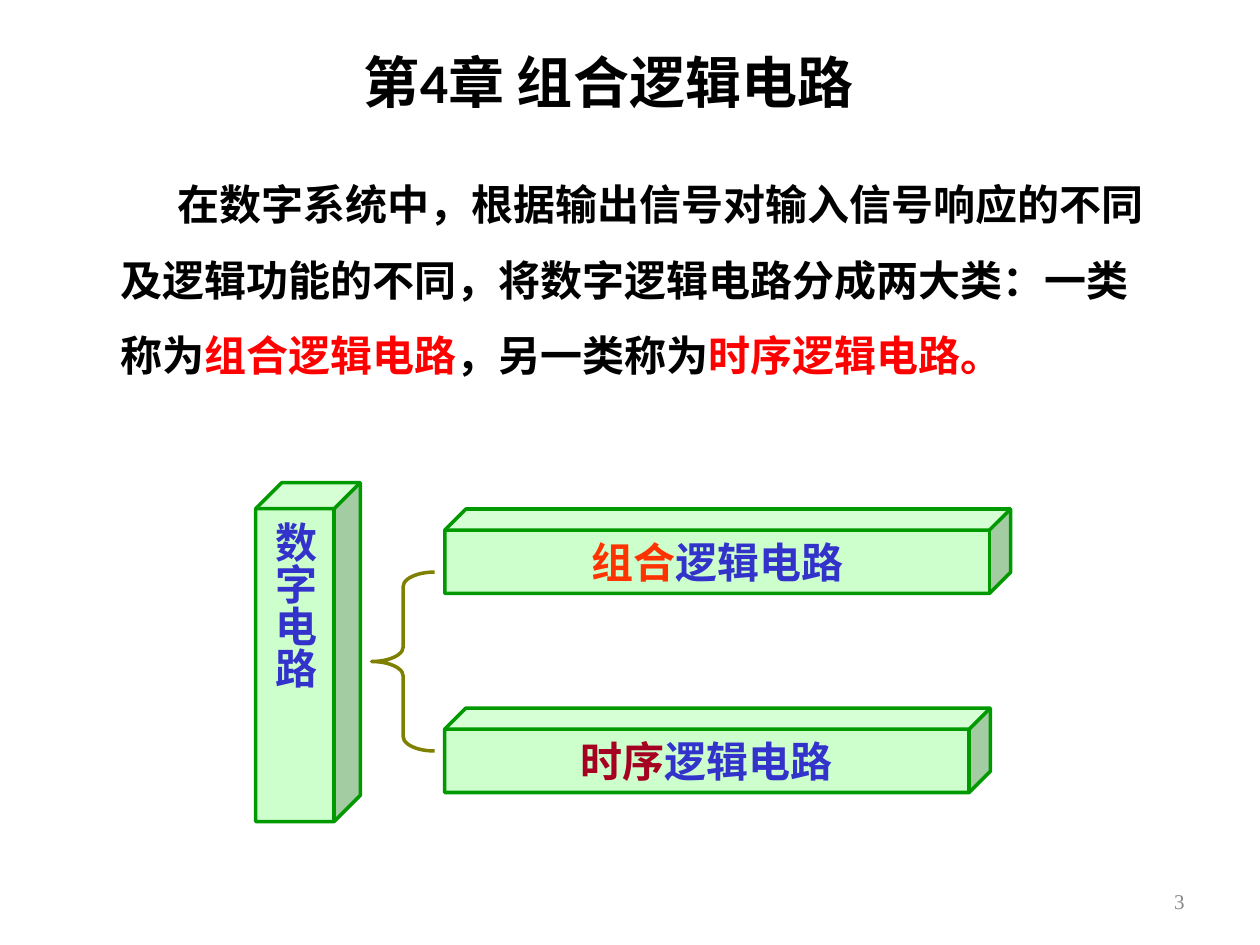
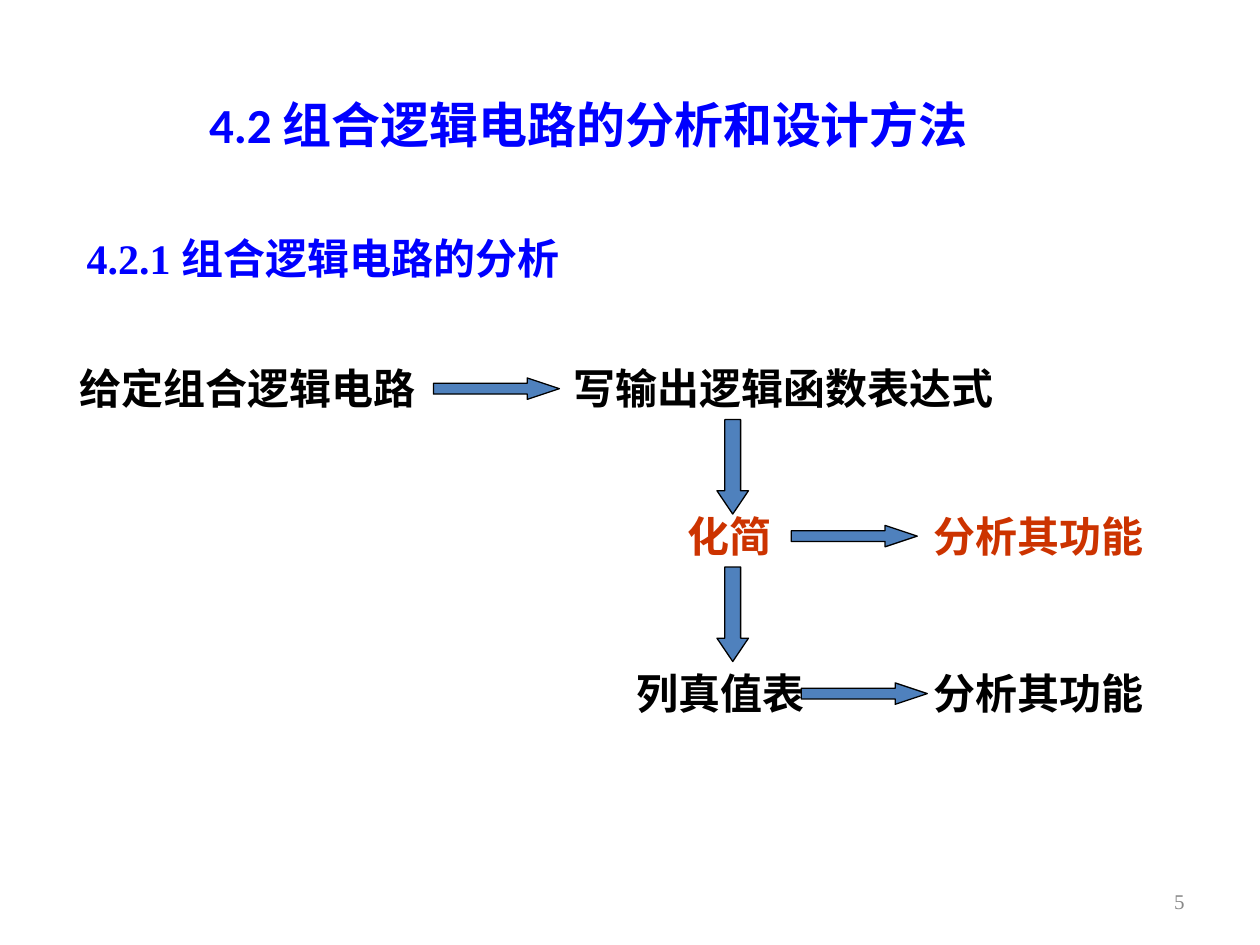
"""Build two slides on combinational logic circuits."""
from dataclasses import dataclass
from typing import Any

from pptx import Presentation
from pptx.dml.color import RGBColor as Rgb
from pptx.enum.shapes import MSO_SHAPE as Kind
from pptx.enum.text import MSO_ANCHOR as Anchor, PP_ALIGN as Align
from pptx.util import Inches, Pt


@dataclass(frozen=True)
class Theme:
    black: str = "000000"
    blue: str = "0000FF"
    red: str = "FF0000"
    rust: str = "CC3300"
    orange: str = "FF3300"
    wine: str = "A50021"
    indigo: str = "3333CC"
    gray: str = "898989"
    mint: str = "CCFFCC"
    green: str = "009900"
    olive: str = "808000"
    steel: str = "4F81BD"
    head: str = "Calibri"
    serif: str = "Times New Roman"
    sans: str = "DejaVu Sans"
    label: str = "Roboto"
    title: int = 32
    section: int = 28
    body: int = 24
    foot: int = 12


T = Theme()
Runs = list[tuple[str, str]]
Box = tuple[float, float, float, float]


@dataclass(frozen=True)
class Text:
    box: Box
    runs: Runs
    face: str = T.serif
    size: int = T.body
    bold: bool = True
    frame: tuple = ()
    para: tuple = ()


@dataclass(frozen=True)
class Cube:
    box: Box
    runs: Runs
    upright: bool = False


@dataclass(frozen=True)
class Arrow:
    box: Box
    head: float = 1.5
    turn: int = 0


MIDDLE = (("vertical_anchor", Anchor.MIDDLE),)
LOOSE = (("word_wrap", False),)
CENTER = (("alignment", Align.CENTER),)


def apply(target: Any, values: dict) -> None:
    for name, value in values.items():
        setattr(target, name, value)


def place(box: Box) -> list:
    return [Inches(side) for side in box]


def write(frame: Any, item: Text) -> None:
    apply(frame, {"word_wrap": True} | dict(item.frame))
    para = frame.paragraphs[0]
    apply(para, dict(item.para))
    for words, color in item.runs:
        run = para.add_run()
        run.text = words
        apply(run.font, {"name": item.face, "size": Pt(item.size), "bold": item.bold})
        run.font.color.rgb = Rgb.from_string(color)


def add_text(slide: Any, item: Text) -> None:
    write(slide.shapes.add_textbox(*place(item.box)).text_frame, item)


def add_form(slide: Any, kind: Any, box: Box, fill: str, line: str, width: float) -> Any:
    shape = slide.shapes.add_shape(kind, *place(box))
    shape.shadow.inherit = False
    if fill:
        shape.fill.solid()
        shape.fill.fore_color.rgb = Rgb.from_string(fill)
    else:
        shape.fill.background()
    shape.line.color.rgb = Rgb.from_string(line)
    shape.line.width = Pt(width)
    return shape


def add_cube(slide: Any, item: Cube) -> None:
    shape = add_form(slide, Kind.CUBE, item.box, T.mint, T.green, 2)
    shape.adjustments[0] = 0.25
    frame = shape.text_frame
    if item.upright:
        frame._txBody.bodyPr.set("vert", "eaVert")
        wide, thin = Inches(0.1), Inches(0.05)
        apply(frame, {"margin_left": thin, "margin_right": thin,
                      "margin_top": wide, "margin_bottom": wide})
    write(frame, Text(item.box, item.runs, T.label, frame=MIDDLE + LOOSE, para=CENTER))


def add_arrow(slide: Any, item: Arrow) -> None:
    shape = add_form(slide, Kind.RIGHT_ARROW, item.box, T.steel, T.black, 0.75)
    shape.adjustments[0] = 0.5
    shape.adjustments[1] = item.head
    shape.rotation = item.turn


def add_page(deck: Any, title: Text, number: str) -> Any:
    slide = deck.slides.add_slide(deck.slide_layouts[6])
    add_text(slide, title)
    add_text(slide, Text((7.17, 6.95, 2.33, 0.4), [(number, T.gray)], size=T.foot,
                         bold=False, frame=MIDDLE, para=(("alignment", Align.RIGHT),)))
    return slide


def heading(box: Box, words: str, color: str, size: int) -> Text:
    return Text(box, [(words, color)], T.head, size, frame=MIDDLE, para=CENTER)


def add_types(deck: Any) -> None:
    title = heading((2.19, 0.23, 5.28, 0.83), "第4章 组合逻辑电路", T.black, T.title)
    slide = add_page(deck, title, "3")
    intro = [
        ("在数字系统中，根据输出信号对输入信号响应的不同及逻辑功能的不同，"
         "将数字逻辑电路分成两大类：一类称为", T.black),
        ("组合逻辑电路", T.red),
        ("，另一类称为", T.black),
        ("时序逻辑电路。", T.red),
    ]
    add_text(slide, Text((0.86, 1.17, 8.51, 2.03), intro, T.sans,
                         para=(("line_spacing", 1.5),)))
    para = slide.shapes[-1].text_frame.paragraphs[0]
    para._p.get_or_add_pPr().set("indent", str(Inches(0.45)))
    tail = ("逻辑电路", T.indigo)
    for cube in (
        Cube((3.53, 4.04, 4.49, 0.67), [("组合", T.orange), tail]),
        Cube((3.53, 5.62, 4.33, 0.67), [("时序", T.wine), tail]),
        Cube((2.03, 3.83, 0.83, 2.69), [("数字电路", T.indigo)], True),
    ):
        add_cube(slide, cube)
    brace = add_form(slide, Kind.LEFT_BRACE, (2.95, 4.54, 0.5, 1.42), "", T.olive, 2)
    brace.adjustments[0] = 0.23
    brace.adjustments[1] = 0.5


def add_steps(deck: Any) -> None:
    title = heading((0.67, 0.36, 8, 1.25), "4.2 组合逻辑电路的分析和设计方法",
                    T.blue, T.section)
    slide = add_page(deck, title, "5")
    rows = (2.83, 4, 5.25)
    for left, top, width, words, color, frame in (
        (0.59, 1.8, 5.04, "4.2.1 组合逻辑电路的分析", T.blue, ()),
        (0.53, rows[0], 2.92, "给定组合逻辑电路", T.black, ()),
        (4.45, rows[0], 3.53, "写输出逻辑函数表达式", T.black, LOOSE),
        (5.36, rows[1], 1.06, "化简", T.rust, ()),
        (7.31, rows[1], 2.42, "分析其功能", T.rust, ()),
        (4.95, rows[2], 1.53, "列真值表", T.black, LOOSE),
        (7.31, rows[2], 2.26, "分析其功能", T.black, ()),
    ):
        add_text(slide, Text((left, top, width, 0.5), [(words, color)], frame=frame))
    for left, row in zip((3.44, 6.28, 6.36), rows):
        add_arrow(slide, Arrow((left, row + 0.17, 1, 0.17)))
    for top in (3.58, 4.75):
        add_arrow(slide, Arrow((5.44, top, 0.75, 0.25), 0.74, 90))


def main() -> None:
    deck = Presentation()
    deck.slide_width, deck.slide_height = Inches(10), Inches(7.5)
    add_types(deck)
    add_steps(deck)
    deck.save("out.pptx")


if __name__ == "__main__":
    main()
